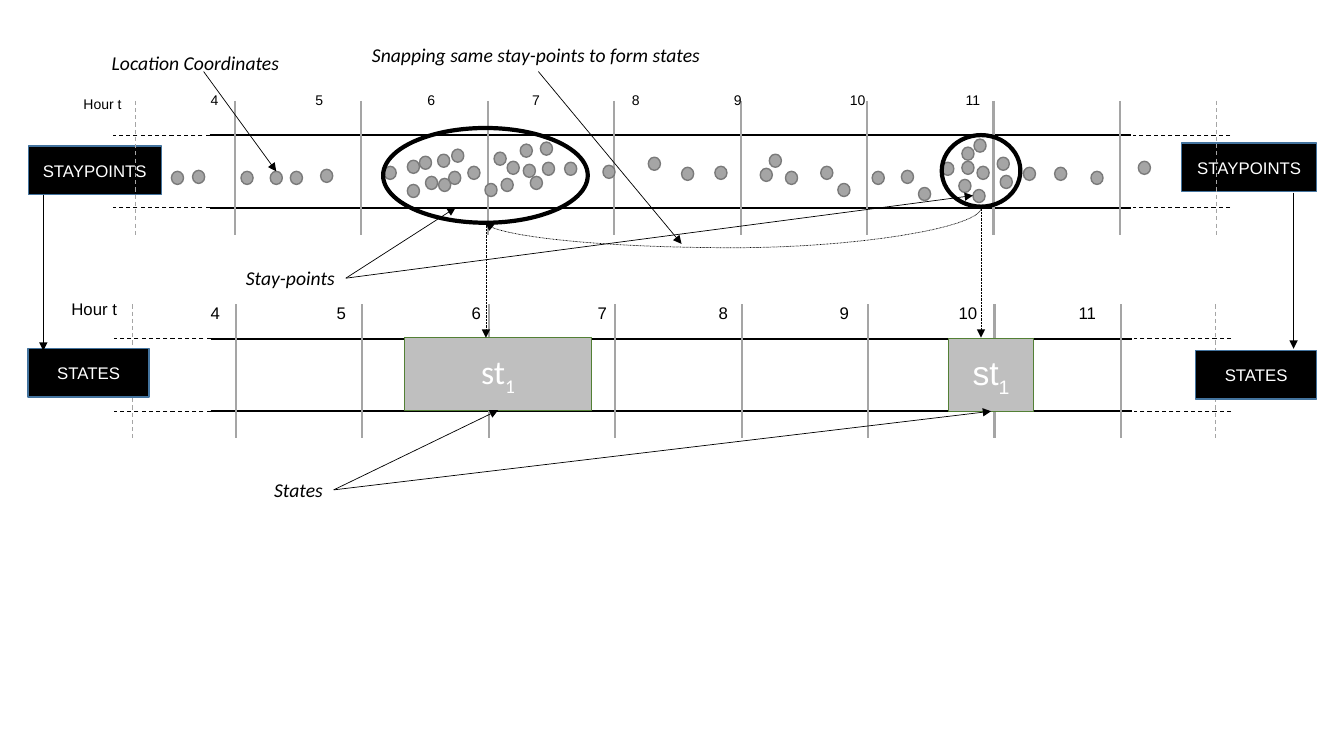
from lxml.etree import SubElement
from pptx import Presentation
from pptx.dml.color import RGBColor
from pptx.enum.dml import MSO_LINE
from pptx.enum.shapes import MSO_CONNECTOR, MSO_SHAPE
from pptx.enum.text import MSO_ANCHOR, MSO_AUTO_SIZE, PP_ALIGN
from pptx.oxml.ns import qn
from pptx.util import Inches, Pt

BLACK, WHITE, GREY = "000000", "FFFFFF", "A5A5A5"
TOP, BOTTOM, RIGHT = 0, 2, 3
TICK_COUNT, TICK_STEP = 8, 1.254
DOT_WIDTH, DOT_HEIGHT = 0.12, 0.13
UPPER_TABS = (0.11, 1.15, 2.26, 3.3, 4.29, 5.3, 6.45, 7.6)
LOWER_TABS = (0.12, 1.37, 2.71, 3.96, 5.16, 6.36, 7.54, 8.73)
DOTS = (
    (1.7, 1.7), (1.91, 1.69), (2.39, 1.7), (2.68, 1.7), (2.88, 1.7), (3.18, 1.68),
    (3.81, 1.65), (4.04, 1.59), (4.16, 1.55), (4.34, 1.53), (4.04, 1.83),
    (4.22, 1.75), (4.35, 1.77), (4.45, 1.7), (4.48, 1.48), (4.64, 1.65),
    (4.81, 1.82), (4.9, 1.51), (4.97, 1.77), (5.03, 1.6), (5.16, 1.43),
    (5.19, 1.63), (5.26, 1.75), (5.36, 1.41), (5.38, 1.61), (5.6, 1.61),
    (5.98, 1.64), (6.43, 1.56), (6.76, 1.66), (7.09, 1.65), (7.54, 1.67),
    (7.63, 1.53), (7.79, 1.7), (8.14, 1.65), (8.31, 1.82), (8.65, 1.7),
    (8.94, 1.69), (9.11, 1.86), (9.34, 1.61), (9.51, 1.78), (9.54, 1.46),
    (9.54, 1.6), (9.65, 1.88), (9.66, 1.38), (9.69, 1.65), (9.89, 1.56),
    (9.92, 1.74), (10.15, 1.66), (10.46, 1.66), (10.82, 1.7), (11.29, 1.6),
)


def colour(value):
    """Return the colour for a hex string."""
    return RGBColor.from_string(value)


def add_line(page, start, end, hue=BLACK, width=0.5, dash=None, arrow=False,
             kind=MSO_CONNECTOR.STRAIGHT):
    """Draw a connector between two points."""
    line = page.shapes.add_connector(kind, *map(Inches, (*start, *end)))
    line.line.color.rgb = colour(hue)
    line.line.width = Pt(width)
    if dash:
        line.line.dash_style = dash
    if arrow:
        SubElement(line.line._get_or_add_ln(), qn("a:tailEnd"), type="triangle")
    SubElement(line.element.spPr, qn("a:effectLst"))
    return line


def add_span(para, text, size, font, hue, italic=False):
    """Append one formatted run."""
    span = para.add_run()
    span.text = text
    span.font.size = Pt(size)
    span.font.name = font
    span.font.color.rgb = colour(hue)
    span.font.italic = italic
    return span


def add_label(page, box, text, size, font="Arial", italic=False):
    """Place a one-line label."""
    label = page.shapes.add_textbox(*map(Inches, box))
    label.text_frame.word_wrap = False
    label.text_frame.auto_size = MSO_AUTO_SIZE.SHAPE_TO_FIT_TEXT
    add_span(label.text_frame.paragraphs[0], text, size, font, BLACK, italic)
    return label


def add_block(page, kind, box, fill, outline, width=1):
    """Place a preset shape, hollow when it has no fill."""
    shape = page.shapes.add_shape(kind, *map(Inches, box))
    shape.shadow.inherit = False
    if fill:
        shape.fill.solid()
        shape.fill.fore_color.rgb = colour(fill)
    else:
        shape.fill.background()
    shape.line.color.rgb = colour(outline)
    shape.line.width = Pt(width)
    return shape


def center_para(shape):
    """Return the centred first paragraph of a shape."""
    shape.text_frame.vertical_anchor = MSO_ANCHOR.MIDDLE
    para = shape.text_frame.paragraphs[0]
    para.alignment = PP_ALIGN.CENTER
    return para


def add_name_box(page, box, text):
    """Place a black box naming a lane."""
    shape = add_block(page, MSO_SHAPE.RECTANGLE, box, BLACK, "43739E")
    add_span(center_para(shape), text, 12, "Arial", WHITE)


def add_state(page, box, font):
    """Place a grey state box with its subscript."""
    shape = add_block(page, MSO_SHAPE.RECTANGLE, box, "BFBFBF", "538035")
    para = center_para(shape)
    add_span(para, "st", 24, font, WHITE)
    index = add_span(para, "1", 24, font, WHITE)
    index.font._element.set("baseline", "-25000")
    return shape


def add_lane(page, left, top, edges):
    """Draw the rails, hour ticks and dashed edges of a lane."""
    for y in (top + 0.34, top + 1.06):
        for start, end in ((0.96, 0), (11.08, 10.12)):
            add_line(page, (left + start, y), (left + end, y), width=0.75,
                     dash=MSO_LINE.DASH)
        add_line(page, (left + 0.96, y), (left + 10.1, y), width=1.5)
    for number in range(TICK_COUNT):
        x = left + 1.21 + number * TICK_STEP
        add_line(page, (x, top), (x, top + 1.33), GREY, 1.5)
    for x in edges:
        add_line(page, (x, top), (x, top + 1.33), GREY, 0.75, MSO_LINE.DASH)


def add_hours(page, box, size, tabs):
    """Write the hours 4 to 11 at tab stops."""
    hours = page.shapes.add_textbox(*map(Inches, box))
    hours.text_frame.word_wrap = True
    para = hours.text_frame.paragraphs[0]
    stops = SubElement(para._p.get_or_add_pPr(), qn("a:tabLst"))
    for stop in tabs:
        SubElement(stops, qn("a:tab"), pos=str(Inches(stop)), algn="l")
    for hour in range(4, 4 + len(tabs)):
        add_span(para, f"\t{hour}", size, "Arial", BLACK)


def add_dots(page):
    """Scatter the location dots and ring the two clusters."""
    for x, y in DOTS:
        add_block(page, MSO_SHAPE.OVAL, (x, y, DOT_WIDTH, DOT_HEIGHT), GREY, "7A7A7A")
    for ring in ((3.8, 1.27, 2.03, 0.94), (9.34, 1.34, 0.78, 0.71)):
        add_block(page, MSO_SHAPE.OVAL, ring, None, BLACK, 3)


def add_snap_curve(page):
    """Draw the dotted curve from the right cluster to the left one."""
    curve = add_line(page, (7.2, -0.33), (7.35, 4.59), dash=MSO_LINE.ROUND_DOT,
                     arrow=True, kind=MSO_CONNECTOR.CURVE)
    properties = curve.element.spPr
    properties.find(qn("a:xfrm")).set("rot", "5400000")
    guides = properties.find(qn("a:prstGeom")).get_or_add_avLst()
    SubElement(guides, qn("a:gd"), name="adj1", fmla="val 268500")


def add_notes(page, states):
    """Place the italic captions and their arrows."""
    add_label(page, (3.59, 0.38, 3.48, 0.34),
              "Snapping same stay-points to form states", 14, "Calibri", True)
    add_label(page, (1.01, 0.46, 1.88, 0.34), "Location Coordinates", 14, "Calibri", True)
    stay = add_label(page, (2.34, 2.59, 1.09, 0.34), "Stay-points", 14, "Calibri", True)
    state = add_label(page, (2.62, 4.69, 0.69, 0.34), "States", 14, "Calibri", True)
    add_snap_curve(page)
    for start, end in (((5.34, 0.71), (6.76, 2.42)), ((2.02, 0.71), (2.74, 1.7))):
        add_line(page, start, end, arrow=True)
    for x, y in ((4.82, 2.2), (9.73, 2.06)):
        add_line(page, (x, y), (x, 3.35), dash=MSO_LINE.ROUND_DOT, arrow=True)
    for end in ((4.52, 2.06), (9.65, 1.94)):
        add_line(page, (3.44, 2.76), end, arrow=True).begin_connect(stay, RIGHT)
    for target in states:
        arrow = add_line(page, (3.32, 4.86), (4.94, 4.08), arrow=True)
        arrow.begin_connect(state, RIGHT)
        arrow.end_connect(target, BOTTOM)


def main():
    """Build the slide and save it."""
    deck = Presentation()
    deck.slide_width, deck.slide_height = Inches(13.33), Inches(7.5)
    page = deck.slides.add_slide(deck.slide_layouts[6])
    add_lane(page, 1.13, 3.02, (1.31, 12.06))
    states = [add_state(page, (4.01, 3.35, 1.86, 0.72), "Calibri"),
              add_state(page, (9.41, 3.36, 0.84, 0.72), "Arial")]
    add_label(page, (0.61, 2.91, 0.67, 0.3), "Hour t", 12)
    add_name_box(page, (11.72, 1.42, 1.34, 0.48), "STAYPOINTS")
    add_name_box(page, (11.86, 3.48, 1.2, 0.48), "STATES")
    add_name_box(page, (0.28, 1.45, 1.32, 0.48), "STAYPOINTS")
    add_name_box(page, (0.28, 3.46, 1.2, 0.48), "STATES")
    for x, y in ((0.43, 1.93), (12.83, 1.91)):
        add_line(page, (x, y), (x, y + 1.55), arrow=True)
    add_hours(page, (1.87, 2.95, 10.04, 0.5), 12, LOWER_TABS)
    add_lane(page, 1.12, 1, (1.34, 12.07))
    add_hours(page, (1.88, 0.86, 10.04, 0.27), 10, UPPER_TABS)
    add_label(page, (0.73, 0.9, 0.6, 0.27), "Hour t", 10)
    add_dots(page)
    add_notes(page, states)
    deck.save("out.pptx")


if __name__ == "__main__":
    main()
